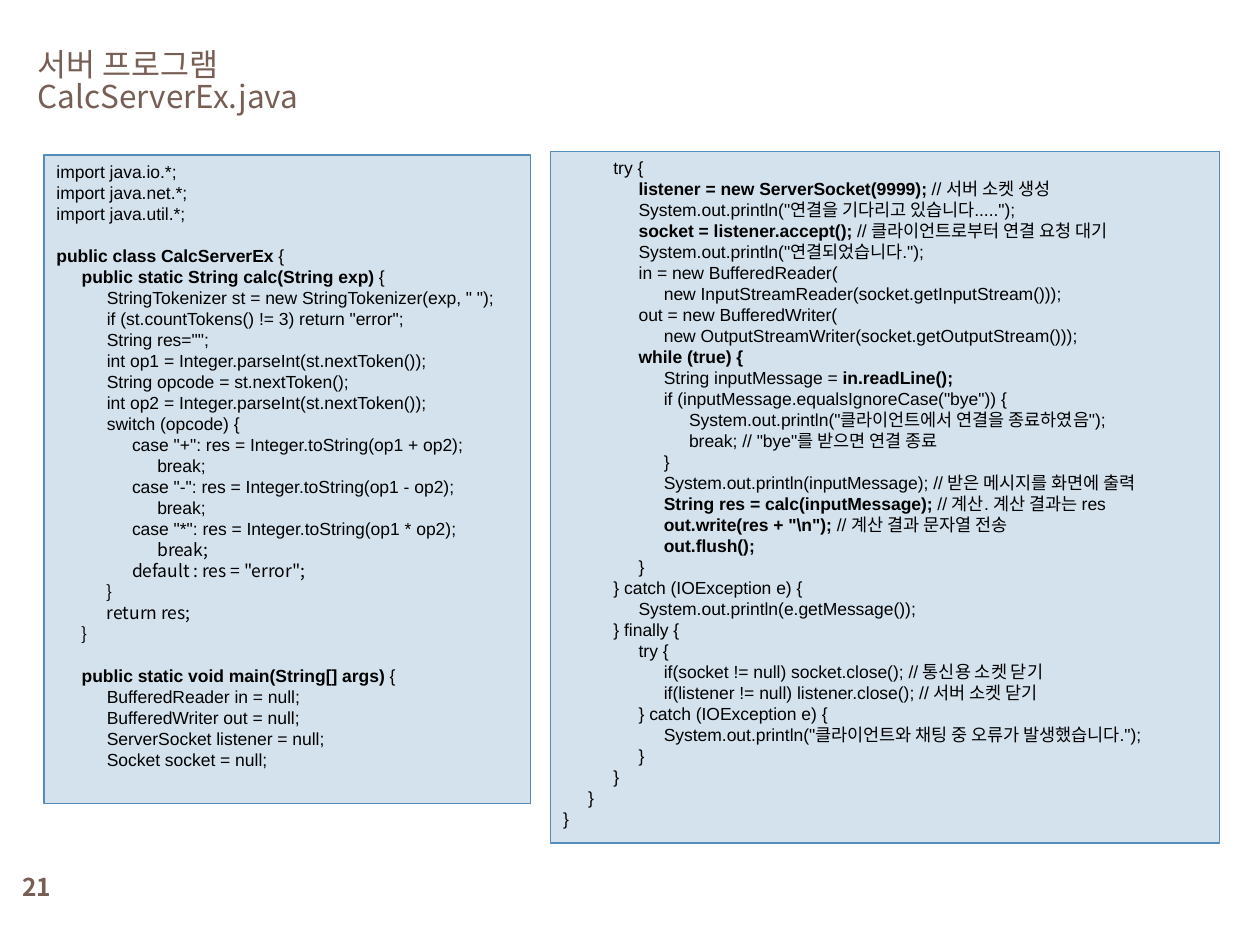
import pptx
import pptx.util
import pptx.dml.color
import pptx.enum.shapes
import pptx.enum.text
import pptx.oxml
import pptx.oxml.ns

KOREAN_FONT = "Noto Sans CJK KR"
CODE_FONT = "Arial"
BROWN = "775F55"
TAB_STEP = 0.2
LINE_PITCH = 12

opening_code = [
    'import java.io.*;',
    'import java.net.*;',
    'import java.util.*;',
    '',
    '**public class CalcServerEx **{',
    '    **public static String calc(String exp) **{',
    '        StringTokenizer st = new StringTokenizer(exp, " ");',
    '        if (st.countTokens() != 3) return "error";',
    '        String res="";',
    '        int op1 = Integer.parseInt(st.nextToken());',
    '        String opcode = st.nextToken();',
    '        int op2 = Integer.parseInt(st.nextToken());',
    '        switch (opcode) {',
    '            case "+": res = Integer.toString(op1 + op2);',
    '                break;',
    '            case "-": res = Integer.toString(op1 - op2);',
    '                break;',
    '            case "*": res = Integer.toString(op1 * op2);',
    '                break;',
    '            default : res = "error";',
    '        }',
    '        return res;',
    '    }',
    '',
    '    **public static void main(String[] args) **{',
    '        BufferedReader in = null;',
    '        BufferedWriter out = null;',
    '        ServerSocket listener = null;',
    '        Socket socket = null;',
]

service_code = [
    '        try {',
    '            **listener = new ServerSocket(9999); **// 서버 소켓 생성',
    '            System.out.println("연결을 기다리고 있습니다.....");',
    '            **socket = listener.accept();** // 클라이언트로부터 연결 요청 대기',
    '            System.out.println("연결되었습니다.");',
    '            in = new BufferedReader(',
    '                new InputStreamReader(socket.getInputStream()));',
    '            out = new BufferedWriter(',
    '                new OutputStreamWriter(socket.getOutputStream()));',
    '            **while (true) {**',
    '                String inputMessage = **in.readLine();**',
    '                if (inputMessage.equalsIgnoreCase("bye")) {',
    '                    System.out.println("클라이언트에서 연결을 종료하였음");',
    '                    break; // "bye"를 받으면 연결 종료',
    '                }',
    '                System.out.println(inputMessage); // 받은 메시지를 화면에 출력',
    '                **String res = calc(inputMessage);** // 계산. 계산 결과는 res',
    r'                **out.write(res + "\n"); **// 계산 결과 문자열 전송',
    '                **out.flush();**',
    '            }',
    '        } catch (IOException e) {',
    '            System.out.println(e.getMessage());',
    '        } finally {',
    '            try {',
    '                if(socket != null) socket.close(); // 통신용 소켓 닫기',
    '                if(listener != null) listener.close(); // 서버 소켓 닫기',
    '            } catch (IOException e) {',
    '                System.out.println("클라이언트와 채팅 중 오류가 발생했습니다.");',
    '            }',
    '        }',
    '    }',
    '}',
]


def rgb(value):
    return pptx.dml.color.RGBColor.from_string(value)


def add_run(paragraph, text, size, font, color, bold=False):
    run = paragraph.add_run()
    run.text = text
    run.font.size = pptx.util.Pt(size)
    run.font.name = font
    run.font.bold = bold
    run.font.color.rgb = rgb(color)
    east_asian = pptx.oxml.parse_xml(
        f'<a:ea {pptx.oxml.ns.nsdecls("a")} typeface="{KOREAN_FONT}"/>')
    run.font._element.append(east_asian)


deck = pptx.Presentation()
deck.slide_width = pptx.util.Inches(10)
deck.slide_height = pptx.util.Inches(7.5)
slide = deck.slides.add_slide(deck.slide_layouts[5])

title = slide.shapes.title
title.left, title.top, title.width, title.height = map(
    pptx.util.Inches, (0.2, 0.29, 2.27, 0.74))
title.text_frame.auto_size = pptx.enum.text.MSO_AUTO_SIZE.NONE
title.text_frame.word_wrap = False
title.text_frame.vertical_anchor = pptx.enum.text.MSO_ANCHOR.MIDDLE
heading = title.text_frame.paragraphs[0]
heading.alignment = pptx.enum.text.PP_ALIGN.LEFT
heading.line_spacing = 0.85
add_run(heading, "서버 프로그램", 18, KOREAN_FONT, BROWN)
heading.add_line_break()
add_run(heading, "CalcServerEx.java", 18, KOREAN_FONT, BROWN)

page_number = slide.shapes.add_textbox(
    *map(pptx.util.Inches, (0, 6.83, 0.58, 0.42)))
page_number.text_frame.word_wrap = True
page_number.text_frame.vertical_anchor = pptx.enum.text.MSO_ANCHOR.MIDDLE
page_number.text_frame.paragraphs[0].alignment = pptx.enum.text.PP_ALIGN.CENTER
add_run(page_number.text_frame.paragraphs[0], "21", 14, KOREAN_FONT, BROWN, True)

listings = [
    (opening_code, (0.35, 1.23, 3.86, 5.15), range(18, 23)),
    (service_code, (4.37, 1.2, 5.31, 5.49), ()),
]
for code, bounds, korean_font_lines in listings:
    panel = slide.shapes.add_shape(
        pptx.enum.shapes.MSO_SHAPE.RECTANGLE, *map(pptx.util.Inches, bounds))
    panel.shadow.inherit = False
    panel.fill.solid()
    panel.fill.fore_color.rgb = rgb("D4E2ED")
    panel.line.color.rgb = rgb("558BB8")
    panel.line.width = pptx.util.Pt(0.75)
    frame = panel.text_frame
    frame.word_wrap = True
    frame.vertical_anchor = pptx.enum.text.MSO_ANCHOR.TOP

    gap = 0
    for number, line in enumerate(code):
        if not line:
            gap = LINE_PITCH
            continue
        paragraph = frame.add_paragraph() if number else frame.paragraphs[0]
        paragraph.alignment = pptx.enum.text.PP_ALIGN.LEFT
        paragraph.line_spacing = pptx.util.Pt(LINE_PITCH)
        paragraph.space_before = pptx.util.Pt(gap)
        gap = 0
        stops = "".join(
            f'<a:tab pos="{pptx.util.Inches(TAB_STEP * stop)}" algn="l"/>'
            for stop in range(1, 6))
        paragraph._p.get_or_add_pPr().append(pptx.oxml.parse_xml(
            f'<a:tabLst {pptx.oxml.ns.nsdecls("a")}>{stops}</a:tabLst>'))

        statement = line.lstrip(" ")
        depth = (len(line) - len(statement)) // 4
        font = KOREAN_FONT if number in korean_font_lines else CODE_FONT
        for part, text in enumerate(("\t" * depth + statement).split("**")):
            if text:
                add_run(paragraph, text, 10, font, "000000", part % 2 == 1)

deck.save("out.pptx")
